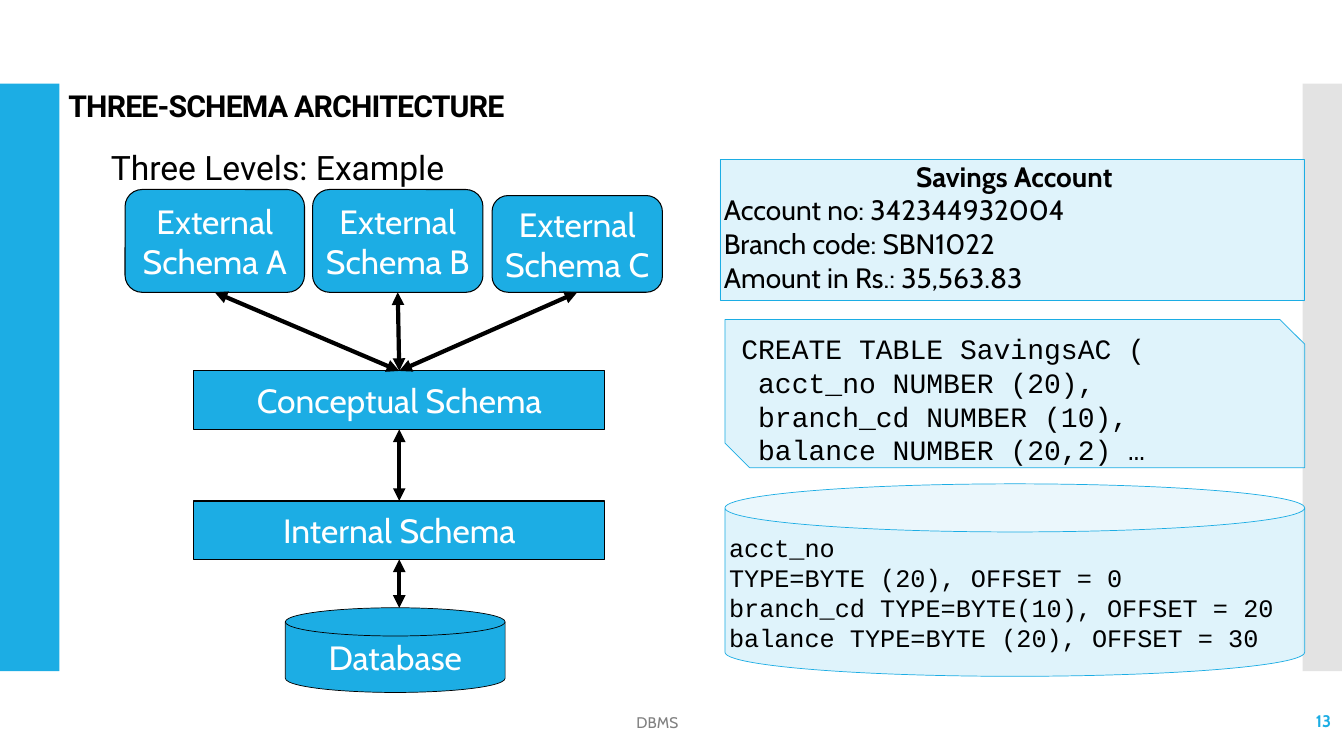
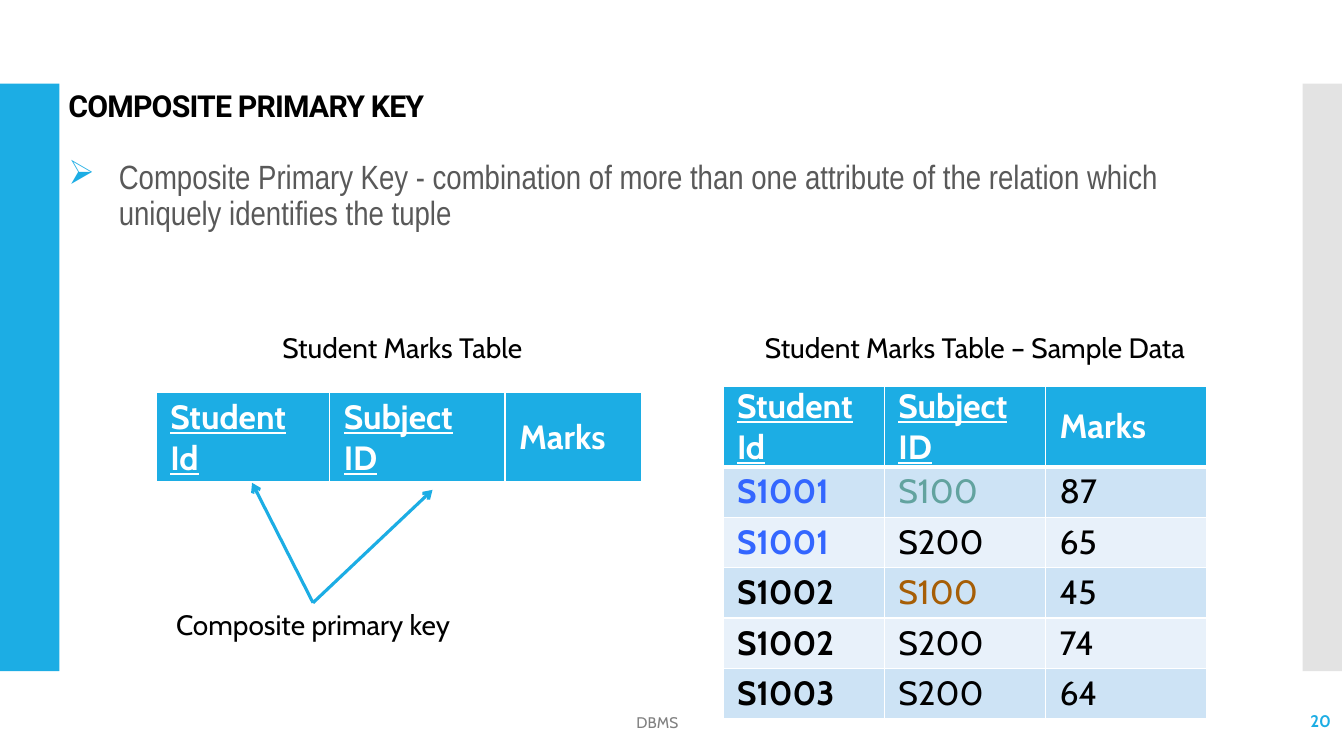
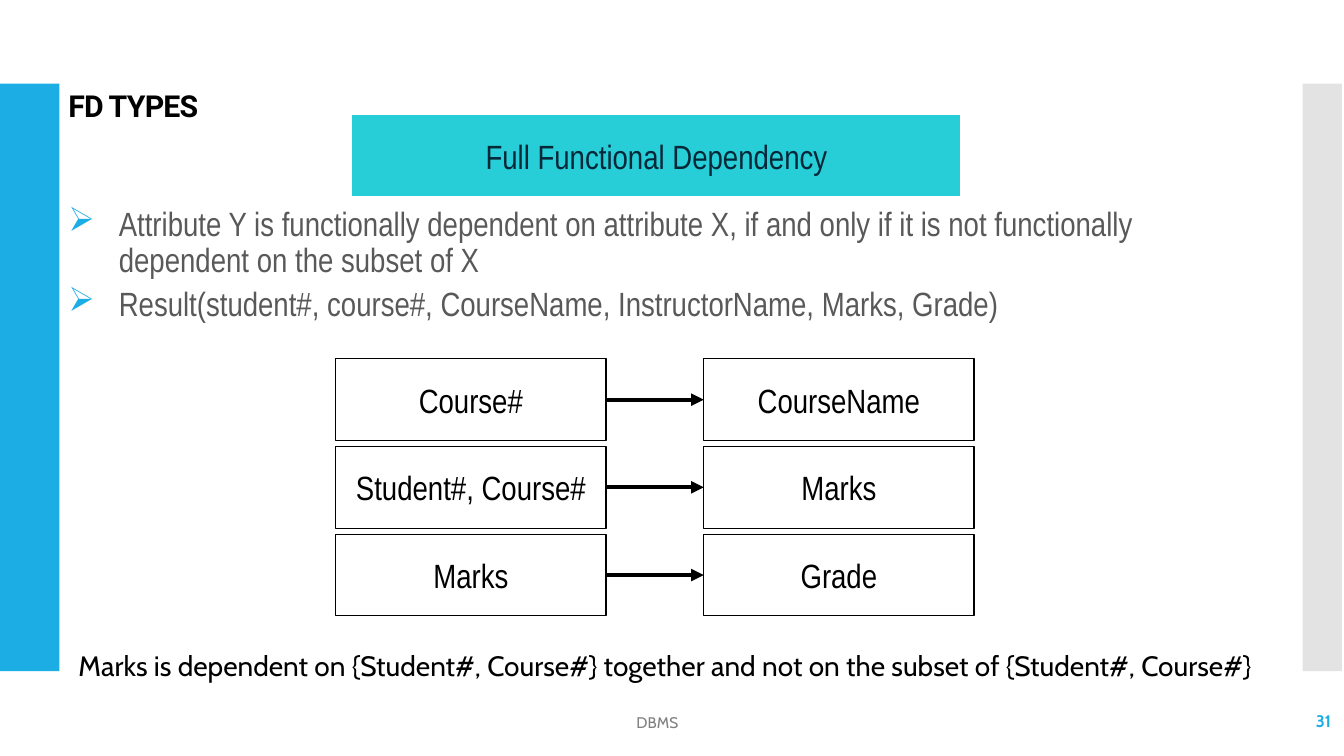
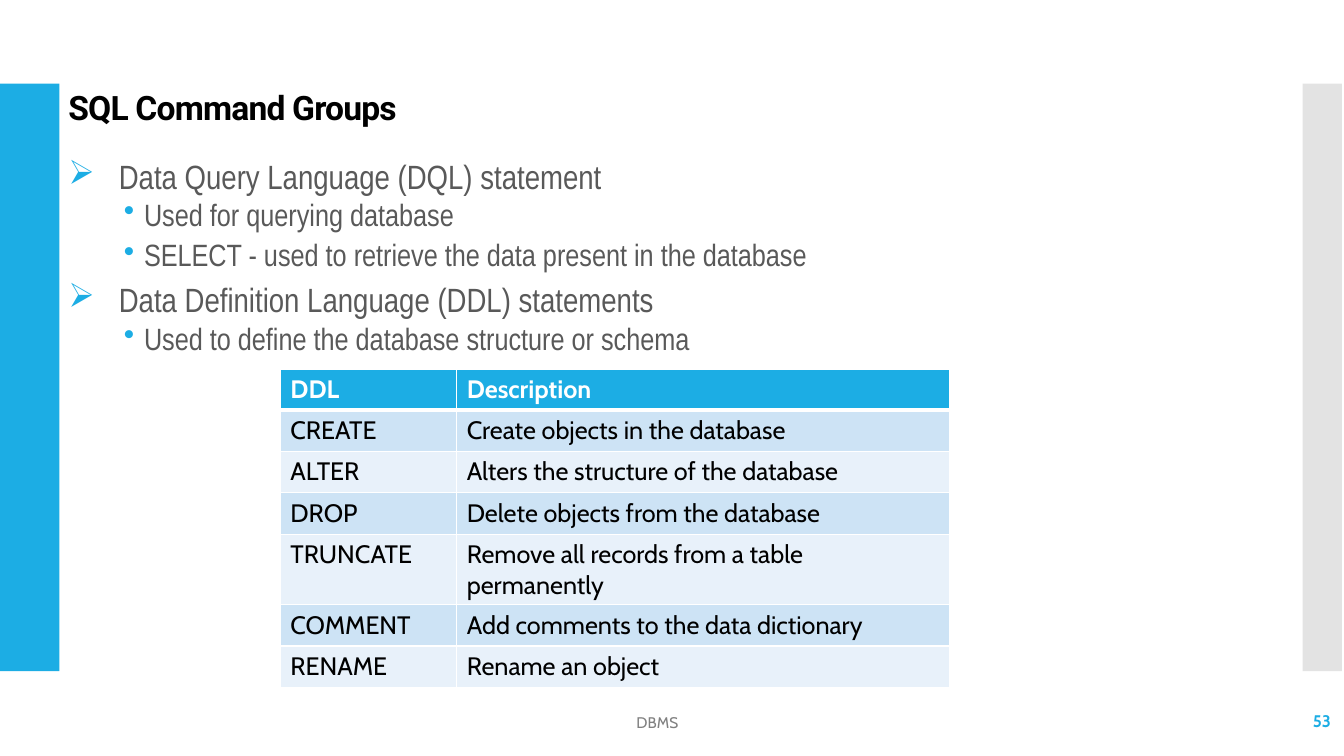
from dataclasses import dataclass, replace

from lxml import etree
from pptx import Presentation
from pptx.dml.color import RGBColor
from pptx.enum.shapes import MSO_CONNECTOR, MSO_SHAPE
from pptx.enum.text import MSO_ANCHOR, PP_ALIGN
from pptx.oxml.ns import qn
from pptx.util import Emu, Pt

PX = 9144  # one px is a hundredth of an inch
LEFT, CENTER, RIGHT = PP_ALIGN.LEFT, PP_ALIGN.CENTER, PP_ALIGN.RIGHT
TOP_ANCHOR, MIDDLE = MSO_ANCHOR.TOP, MSO_ANCHOR.MIDDLE
RECTANGLE, ROUNDED, SNIPPED = MSO_SHAPE.RECTANGLE, MSO_SHAPE.ROUNDED_RECTANGLE, MSO_SHAPE.SNIP_2_DIAG_RECTANGLE
CAN, DISK = MSO_SHAPE.CAN, MSO_SHAPE.FLOWCHART_MAGNETIC_DISK
STRAIGHT = MSO_CONNECTOR.STRAIGHT
TOP, SIDE_LEFT, BOTTOM, SIDE_RIGHT = range(4)


@dataclass(frozen=True)
class Style:
    font: str
    size: float
    color: str
    bold: bool = False
    underline: bool = False
    align: PP_ALIGN = LEFT
    tracking: int = 0
    line_spacing: float = 1.0


class Theme:
    blue, black, white = "1CADE4", "000000", "FFFFFF"
    gray_band, panel, teal = "C8C8C8", "D2EFFA", "27CED7"
    row_fills = ("CDE3F5", "E8F1FA")
    title = Style("Roboto", 21.6, black, bold=True, tracking=-60, line_spacing=0.9)
    large_title = replace(title, size=24)
    subtitle = Style("Roboto", 24, black)
    number = Style("Cabin", 12, blue, bold=True, align=RIGHT)
    footer = Style("Cabin", 11, "808080", align=CENTER)
    bullet = Style("Arial Narrow", 24, "595959", line_spacing=0.9)
    sub_bullet = replace(bullet, size=22)
    diagram = Style("Cabin", 24, white, align=CENTER)
    dependency = Style("Arial Narrow", 24, black, align=CENTER)
    banner = replace(dependency, color="052839")
    note = Style("Cabin", 20, black)
    caption = replace(note, align=CENTER)
    account_title = replace(caption, bold=True)
    code = Style("Courier New", 20, black)
    small_code = replace(code, size=18)
    key_cell = Style("Cabin", 24, black)
    command_cell = Style("Cabin", 18, black)


# Content
FOOTER = "DBMS"

EXTERNAL_SCHEMAS = [
    ("External Schema A", (124, 188, 178, 102)),
    ("External Schema B", (310, 188, 169, 102)),
    ("External Schema C", (488, 194, 169, 96)),
]
ACCOUNT = ["Savings Account", "Account no: 342344932004", "Branch code: SBN1022", "Amount in Rs.: 35,563.83"]
CREATE_CODE = [
    "CREATE TABLE SavingsAC (",
    " acct_no NUMBER (20),",
    " branch_cd NUMBER (10),",
    " balance NUMBER (20,2) …",
]
STORAGE = [
    "acct_no",
    "TYPE=BYTE (20), OFFSET = 0",
    "branch_cd TYPE=BYTE(10), OFFSET = 20",
    "balance TYPE=BYTE (20), OFFSET = 30",
]
PANELS = [
    (RECTANGLE, (714, 158, 580, 140), ACCOUNT, [Theme.account_title] + [Theme.note] * 3),
    (SNIPPED, (719, 317, 575, 147), CREATE_CODE, [Theme.code] * 4),
    (CAN, (719, 480, 575, 191), STORAGE, [Theme.small_code] * 4),
]

COMPOSITE_BULLETS = [
    (0, "Composite Primary Key - combination of more than one attribute of the relation which "
        "uniquely identifies the tuple"),
]
MARKS_HEADER = ["Student Id", "Subject ID", "Marks"]
MARKS_ROWS = [  # a cell is text, or text with its colour
    [("S1001", "3366FF"), ("S100", "62A39F"), "87"],
    [("S1001", "3366FF"), "S200", "65"],
    ["S1002", ("S100", "A65E06"), "45"],
    ["S1002", "S200", "74"],
    ["S1003", "S200", "64"],
]
KEY_ARROW_TIPS = [(250, 479), (429, 486)]

DEPENDENCY_BULLETS = [
    (0, "Attribute Y is functionally dependent on attribute X, if and only if it is not functionally "
        "dependent on the subset of X"),
    (0, "Result(student#, course#, CourseName, InstructorName, Marks, Grade)"),
]
DEPENDENCIES = [("Course#", "CourseName"), ("Student#, Course#", "Marks"), ("Marks", "Grade")]
DEPENDENCY_NOTE = "Marks is dependent on {Student#, Course#} together and not on the subset of {Student#, Course#}"

COMMAND_BULLETS = [
    (0, "Data Query Language (DQL) statement"),
    (1, "Used for querying database"),
    (1, "SELECT - used to retrieve the data present in the database"),
    (0, "Data Definition Language (DDL) statements"),
    (1, "Used to define the database structure or schema"),
]
COMMANDS = [
    ["DDL", "Description"],
    ["CREATE", "Create objects in the database"],
    ["ALTER", "Alters the structure of the database"],
    ["DROP", "Delete objects from the database"],
    ["TRUNCATE", "Remove all records from a table permanently"],
    ["COMMENT", "Add comments to the data dictionary"],
    ["RENAME", "Rename an object"],
]

# Level: symbol, text indent, hanging indent, space before, space after, style
BULLET_LEVELS = [
    ("➢", 50, -50, 5, 0, Theme.bullet),
    ("•", 75, -20, 2.5, 2.5, Theme.sub_bullet),
]


# Helpers
def px(*values):
    return [Emu(round(value * PX)) for value in values]


def rgb(color):
    return RGBColor.from_string(color)


def apply_style(paragraph, style):
    paragraph.alignment = style.align
    paragraph.line_spacing = style.line_spacing
    font = paragraph.font
    font.name, font.size, font.bold = style.font, Pt(style.size), style.bold
    font.underline = style.underline
    font.color.rgb = rgb(style.color)
    if style.tracking:
        paragraph._p.pPr.find(qn("a:defRPr")).set("spc", str(style.tracking))


def add_paragraphs(frame, lines):
    for index, line in enumerate(lines):
        paragraph = frame.add_paragraph() if index else frame.paragraphs[0]
        paragraph.text = line
        yield index, paragraph


def write(frame, lines, styles, anchor=TOP_ANCHOR, insets=None):
    frame.word_wrap = True
    frame.vertical_anchor = anchor
    if insets:
        frame.margin_left, frame.margin_top, frame.margin_right, frame.margin_bottom = px(*insets)
    for index, paragraph in add_paragraphs(frame, lines):
        apply_style(paragraph, styles[index])


def add_text(slide, box, text, style, anchor=TOP_ANCHOR):
    shape = slide.shapes.add_textbox(*px(*box))
    write(shape.text_frame, [text], [style], anchor)
    return shape


def add_box(slide, kind, box, fill=None, line=None, line_width=0.75, opacity=None):
    shape = slide.shapes.add_shape(kind, *px(*box))
    shape.shadow.inherit = False
    if fill:
        shape.fill.solid()
        shape.fill.fore_color.rgb = rgb(fill)
    else:
        shape.fill.background()
    if opacity:
        color = shape._element.spPr.find(qn("a:solidFill"))[0]
        etree.SubElement(color, qn("a:alpha"), val=str(opacity * 1000))
    if line:
        shape.line.color.rgb = rgb(line)
        shape.line.width = Pt(line_width)
    else:
        shape.line.fill.background()
    return shape


def add_label_box(slide, kind, box, text, style, insets=None, **look):
    shape = add_box(slide, kind, box, **look)
    write(shape.text_frame, [text], [style], MIDDLE, insets)
    return shape


def add_arrow(slide, begin, end, color=Theme.black, width=3, head=None, tail="triangle"):
    """Each end is a point (x, y) or a joined side (shape, site)."""
    points = [(0, 0) if hasattr(place[0], "shape_id") else place for place in (begin, end)]
    connector = slide.shapes.add_connector(STRAIGHT, *px(*points[0], *points[1]))
    if hasattr(begin[0], "shape_id"):
        connector.begin_connect(*begin)
    if hasattr(end[0], "shape_id"):
        connector.end_connect(*end)
    connector.line.color.rgb = rgb(color)
    connector.line.width = Pt(width)
    line = connector.line._get_or_add_ln()
    for tag, kind in (("a:headEnd", head), ("a:tailEnd", tail)):
        if kind:
            etree.SubElement(line, qn(tag), type=kind)
    etree.SubElement(connector._element.spPr, qn("a:effectLst"))


def add_bullets(slide, bullets, top=154):
    frame = slide.shapes.add_textbox(*px(58, top, 1162, 690 - top)).text_frame
    frame.word_wrap = True
    for index, paragraph in add_paragraphs(frame, [text for _, text in bullets]):
        level = bullets[index][0]
        symbol, indent, hanging, before, after, style = BULLET_LEVELS[level]
        paragraph.level = level
        properties = paragraph._p.get_or_add_pPr()
        properties.set("marL", str(indent * PX))
        properties.set("indent", str(hanging * PX))
        paragraph.space_before = Pt(before if index else 0)
        paragraph.space_after = Pt(after)
        color = etree.SubElement(properties, qn("a:buClr"))
        etree.SubElement(color, qn("a:srgbClr"), val=Theme.blue)
        etree.SubElement(properties, qn("a:buChar"), char=symbol)
        apply_style(paragraph, style)


def set_borders(cell, top, bottom):
    properties = cell._tc.get_or_add_tcPr()
    widths = (("a:lnL", 1), ("a:lnR", 1), ("a:lnT", top), ("a:lnB", bottom))
    for index, (tag, width) in enumerate(widths):
        line = etree.Element(qn(tag), w=str(Pt(width)))
        fill = etree.SubElement(line, qn("a:solidFill"))
        etree.SubElement(fill, qn("a:srgbClr"), val=Theme.white)
        properties.insert(index, line)


def add_table(slide, left, top, columns, heights, rows, style, anchor, insets, key_columns=0):
    box = px(left, top, sum(columns), sum(heights))
    table = slide.shapes.add_table(len(rows), len(columns), *box).table
    table.first_row = table.horz_banding = False
    for column, width in zip(table.columns, px(*columns)):
        column.width = width
    for row, height in zip(table.rows, px(*heights)):
        row.height = height
    for row_index, row in enumerate(rows):
        header = row_index == 0
        fill = Theme.blue if header else Theme.row_fills[(row_index - 1) % 2]
        for column_index, value in enumerate(row):
            text, color = (value, style.color) if isinstance(value, str) else value
            cell_style = replace(
                style,
                color=Theme.white if header else color,
                bold=header or (key_columns > 0 and column_index == 0),
                underline=header and column_index < key_columns,
            )
            cell = table.cell(row_index, column_index)
            cell.fill.solid()
            cell.fill.fore_color.rgb = rgb(fill)
            set_borders(cell, 3 if row_index == 1 else 1, 3 if header else 1)
            cell.vertical_anchor = anchor
            cell.margin_left, cell.margin_top, cell.margin_right, cell.margin_bottom = px(*insets)
            cell.text_frame.text = text
            apply_style(cell.text_frame.paragraphs[0], cell_style)


def add_slide(presentation, title, number, title_style=Theme.title):
    slide = presentation.slides.add_slide(presentation.slide_layouts[6])
    add_box(slide, RECTANGLE, (0, 83, 59, 583), Theme.blue)
    add_box(slide, RECTANGLE, (1292, 83, 39, 583), Theme.gray_band, opacity=50)
    add_text(slide, (58, 86, 1044, 40), title, title_style)
    add_text(slide, (1163, 695, 167, 40), str(number), Theme.number, MIDDLE)
    add_text(slide, (329, 697, 646, 40), FOOTER, Theme.footer, MIDDLE)
    return slide


# Slides
def build_architecture(presentation):
    slide = add_slide(presentation, "THREE-SCHEMA ARCHITECTURE", 13)
    add_text(slide, (100, 141, 388, 47), "Three Levels: Example", Theme.subtitle)
    for kind, box, lines, styles in PANELS:
        panel = add_box(slide, kind, box, Theme.panel, Theme.blue, 0.5, opacity=71)
        write(panel.text_frame, lines, styles, insets=(4, 0, 0, 4))

    look = {"fill": Theme.blue, "line": Theme.black}
    conceptual, internal = [
        add_label_box(slide, RECTANGLE, (192, top, 408, 58), text, Theme.diagram, **look)
        for text, top in (("Conceptual Schema", 368), ("Internal Schema", 497))
    ]
    add_label_box(slide, DISK, (283, 603, 218, 84), "Database", Theme.diagram, line_width=0.5, **look)
    for text, box in EXTERNAL_SCHEMAS:
        external = add_label_box(slide, ROUNDED, box, text, Theme.diagram, (0, 0, 0, 0), **look)
        add_arrow(slide, (external, BOTTOM), (conceptual, TOP), head="triangle")
    add_arrow(slide, (conceptual, BOTTOM), (internal, TOP), head="triangle")
    add_arrow(slide, (internal, BOTTOM), (396, 603), head="triangle")


def build_composite_key(presentation):
    slide = add_slide(presentation, "COMPOSITE PRIMARY KEY", 20)
    add_bullets(slide, COMPOSITE_BULLETS)
    add_text(slide, (242, 323, 314, 53), "Student Marks Table", Theme.caption)
    add_text(slide, (733, 323, 468, 53), "Student Marks Table – Sample Data", Theme.caption)
    add_table(slide, 155, 389, [172, 174, 135], [90], [MARKS_HEADER],
              Theme.key_cell, MIDDLE, (14, 5, 14, 5), key_columns=2)
    add_table(slide, 717, 383, [160] * 3, [80] + [50] * 5, [MARKS_HEADER] + MARKS_ROWS,
              Theme.key_cell, MIDDLE, (14, 0, 14, 0), key_columns=2)
    label = add_text(slide, (136, 598, 349, 58), "Composite primary key", Theme.caption)
    for tip in KEY_ARROW_TIPS:
        add_arrow(slide, (label, TOP), tip, Theme.blue, 2.25, tail="arrow")


def build_dependency_types(presentation):
    slide = add_slide(presentation, "FD TYPES", 31)
    add_bullets(slide, DEPENDENCY_BULLETS, top=201)
    add_label_box(slide, RECTANGLE, (349, 114, 604, 81), "Full Functional Dependency", Theme.banner,
                  fill=Theme.teal, line=Theme.white)
    for index, pair in enumerate(DEPENDENCIES):
        source, target = [
            add_label_box(slide, RECTANGLE, (left, 356 + index * 87, 268, 81), text, Theme.dependency,
                          line=Theme.black, line_width=0.85)
            for text, left in zip(pair, (333, 698))
        ]
        add_arrow(slide, (source, SIDE_RIGHT), (target, SIDE_LEFT))
    add_text(slide, (68, 638, 1187, 44), DEPENDENCY_NOTE, Theme.note)


def build_command_groups(presentation):
    slide = add_slide(presentation, "SQL Command Groups", 53, Theme.large_title)
    add_bullets(slide, COMMAND_BULLETS)
    add_table(slide, 278, 366, [175, 489], [41] * len(COMMANDS), COMMANDS,
              Theme.command_cell, TOP_ANCHOR, (10, 5, 10, 5))


def main():
    presentation = Presentation()
    presentation.slide_width, presentation.slide_height = px(1333, 750)
    build_architecture(presentation)
    build_composite_key(presentation)
    build_dependency_types(presentation)
    build_command_groups(presentation)
    presentation.save("out.pptx")


if __name__ == "__main__":
    main()
